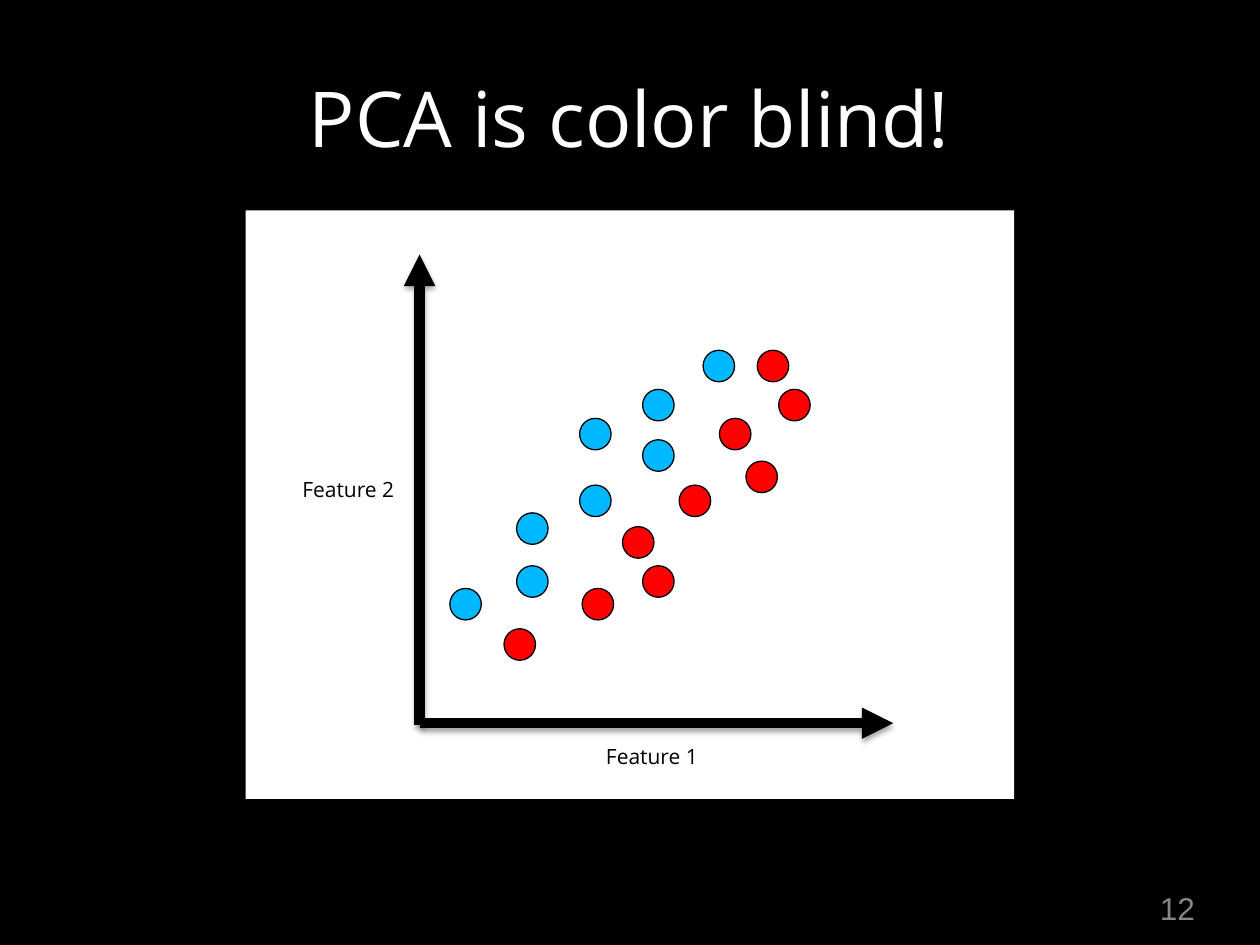
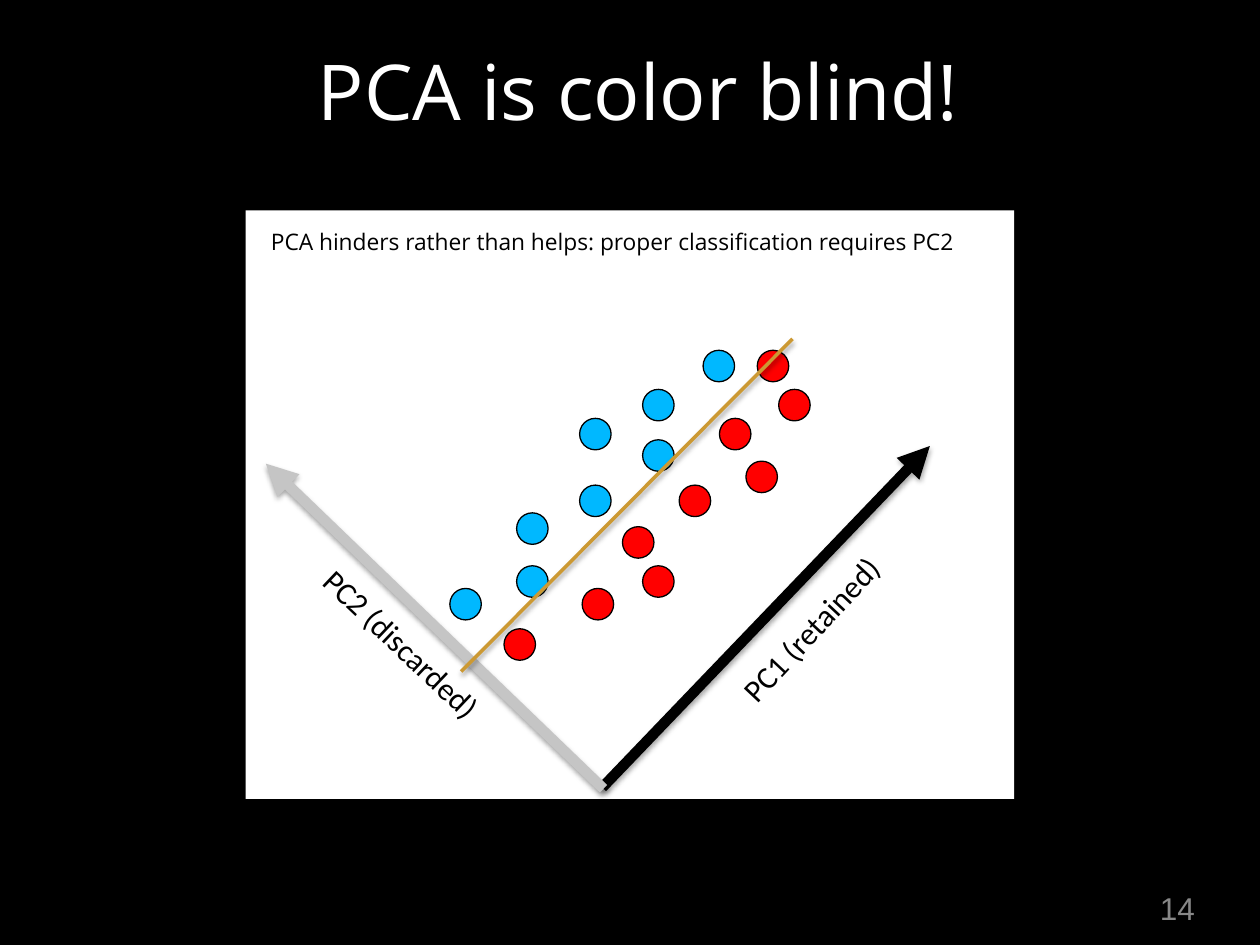
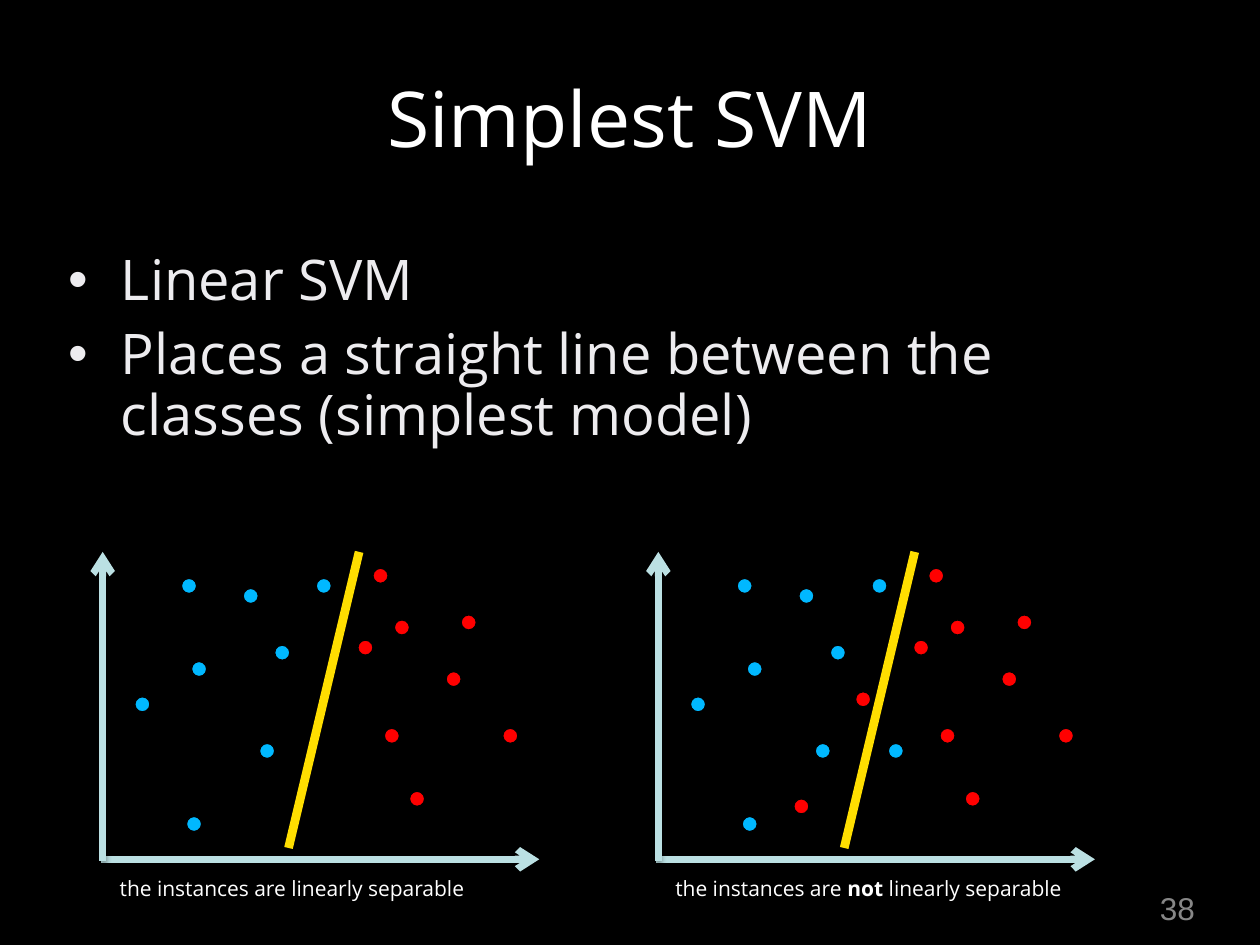
from pptx import Presentation
from pptx.dml.color import RGBColor
from pptx.enum.shapes import MSO_CONNECTOR, MSO_SHAPE
from pptx.enum.text import MSO_ANCHOR, MSO_AUTO_SIZE, PP_ALIGN
from pptx.oxml.ns import qn
from pptx.util import Inches, Pt
from lxml.etree import SubElement

WIDTH, HEIGHT = Inches(10), Inches(7.5)
COLUMNS, ROWS = 100, 75

BLACK = RGBColor(0x00, 0x00, 0x00)
WHITE = RGBColor(0xFF, 0xFF, 0xFF)
PALE = RGBColor(0xED, 0xEC, 0xEF)
GRAY = RGBColor(0x87, 0x87, 0x87)
SILVER = RGBColor(0xC5, 0xC5, 0xC5)
BLUE = RGBColor(0x00, 0xB8, 0xFF)
RED = RGBColor(0xFF, 0x00, 0x00)
GOLD = RGBColor(0xCC, 0x99, 0x33)
YELLOW = RGBColor(0xFF, 0xDE, 0x00)
ICE = RGBColor(0xBB, 0xE0, 0xE3)

FONT = "Open Sans"
TITLE_BOX = (5, 1, 90, 16.5)
NUMBER_BOX = (91.3, 70.1, 4.3, 3.9)
PANEL_BOX = (19.5, 16.7, 61, 46.7)

PCA_DOT = 2.5
PCA_BLUE = [(41, 40.7), (46, 33.2), (51, 30.9), (55.8, 27.8),
            (41, 44.9), (46, 38.5), (35.7, 46.7), (51, 34.9)]
PCA_RED = [(61.8, 30.9), (57.1, 33.2), (46.2, 46.7), (40, 49.9), (60.1, 27.8),
           (51, 44.9), (49.4, 41.8), (59.2, 36.6), (53.9, 38.5)]

SVM_DOT = 1.2
SVM_SHIFT = 44.1
SVM_BLUE = [(15.2, 52.5), (14.4, 45.9), (19.3, 46.7), (25.1, 45.9),
            (10.7, 55.3), (20.6, 59), (14.8, 64.8), (21.8, 51.2)]
SVM_RED = [(31.3, 49.2), (28.4, 50.8), (30.5, 57.8), (32.5, 62.8),
           (29.6, 45.1), (35.4, 53.3), (39.9, 57.8), (36.6, 48.8)]
MIXED_BLUE = [(26.4, 59)]
MIXED_RED = [(23.8, 54.9), (18.9, 63.4)]


def across(columns):
    """Return the length of a number of grid columns."""
    return round(WIDTH * columns / COLUMNS)


def down(rows):
    """Return the length of a number of grid rows."""
    return round(HEIGHT * rows / ROWS)


def place(box):
    """Turn a grid box into left, top, width and height."""
    left, top, width, height = box
    return across(left), down(top), across(width), down(height)


def style_runs(paragraph, size, color, font):
    """Give every run of a paragraph the same font."""
    for run in paragraph.runs:
        run.font.size = Pt(size)
        run.font.name = font
        run.font.color.rgb = color


def add_frame(slide, box, inset):
    """Add a wrapping text box with even insets and return its shape."""
    shape = slide.shapes.add_textbox(*place(box))
    frame = shape.text_frame
    frame.word_wrap = True
    frame.margin_left = frame.margin_right = Inches(inset)
    frame.margin_top = frame.margin_bottom = Inches(inset)
    return shape


def add_label(slide, box, text, size=12, color=BLACK, font=FONT, rotation=0):
    """Add a one-line label in which asterisks enclose bold words."""
    shape = add_frame(slide, box, 0.05)
    shape.rotation = rotation
    frame = shape.text_frame
    frame.word_wrap = False
    frame.auto_size = MSO_AUTO_SIZE.SHAPE_TO_FIT_TEXT
    paragraph = frame.paragraphs[0]
    for index, piece in enumerate(text.split("*")):
        run = paragraph.add_run()
        run.text = piece
        run.font.bold = index % 2 == 1
    style_runs(paragraph, size, color, font)
    return shape


def add_title(slide, box, text):
    """Add the centred slide title."""
    frame = add_frame(slide, box, 0.04).text_frame
    frame.vertical_anchor = MSO_ANCHOR.MIDDLE
    frame.text = text
    frame.paragraphs[0].alignment = PP_ALIGN.CENTER
    style_runs(frame.paragraphs[0], 44, WHITE, FONT)


def add_number(slide, number):
    """Add the slide number in the lower right corner."""
    frame = add_label(slide, NUMBER_BOX, str(number), 18, GRAY, "Arial").text_frame
    frame.vertical_anchor = MSO_ANCHOR.MIDDLE
    frame.paragraphs[0].alignment = PP_ALIGN.CENTER


def add_bullets(slide, box, items):
    """Add a bulleted list with hanging indents."""
    frame = add_frame(slide, box, 0.04).text_frame
    frame.margin_right = Inches(0.2)
    frame.text = "\n".join(items)
    for paragraph in frame.paragraphs:
        paragraph.space_before = Pt(8)
        paragraph.line_spacing = 0.9
        style_runs(paragraph, 32, PALE, FONT)
        properties = paragraph._p.get_or_add_pPr()
        properties.set("marL", str(Inches(0.42)))
        properties.set("indent", str(-Inches(0.42)))
        SubElement(properties, qn("a:buFont"), typeface="Arial")
        SubElement(properties, qn("a:buChar"), char="•")


def add_line(slide, start, end, color, width, head=None):
    """Add a straight line with a soft shadow and an optional arrowhead."""
    connector = slide.shapes.add_connector(
        MSO_CONNECTOR.STRAIGHT, across(start[0]), down(start[1]),
        across(end[0]), down(end[1]))
    connector.line.color.rgb = color
    connector.line.width = Pt(width)
    if head:
        SubElement(connector.line._get_or_add_ln(), qn("a:tailEnd"), type=head)
    effects = SubElement(connector._element.spPr, qn("a:effectLst"))
    shadow = SubElement(effects, qn("a:outerShdw"), blurRad=str(Pt(3)),
                        dist=str(Pt(1.8)), dir="5400000", rotWithShape="0")
    shade = SubElement(shadow, qn("a:srgbClr"), val=str(BLACK))
    SubElement(shade, qn("a:alpha"), val="35000")


def add_filled(shapes, kind, box, color):
    """Add a filled preset shape without shadow or outline."""
    shape = shapes.add_shape(kind, *place(box))
    shape.shadow.inherit = False
    shape.fill.solid()
    shape.fill.fore_color.rgb = color
    shape.line.fill.background()
    return shape


def add_dots(slide, points, size, color, shift=0):
    """Add a group of outlined dots for one class of instances."""
    group = slide.shapes.add_group_shape()
    for left, top in points:
        dot = add_filled(group.shapes, MSO_SHAPE.OVAL,
                         (left + shift, top, size, size), color)
        dot.line.color.rgb = BLACK
        dot.line.width = Pt(0.75)


def add_slide(presentation, title, number, title_box=TITLE_BOX):
    """Add a black slide with its title and number."""
    slide = presentation.slides.add_slide(presentation.slide_layouts[6])
    slide.background.fill.solid()
    slide.background.fill.fore_color.rgb = BLACK
    add_title(slide, title_box, title)
    add_number(slide, number)
    return slide


def add_pca_slide(presentation, number, title_box=TITLE_BOX):
    """Add a slide with the two classes on a white panel."""
    slide = add_slide(presentation, "PCA is color blind!", number, title_box)
    add_filled(slide.shapes, MSO_SHAPE.RECTANGLE, PANEL_BOX, WHITE)
    add_dots(slide, PCA_BLUE, PCA_DOT, BLUE)
    add_dots(slide, PCA_RED, PCA_DOT, RED)
    return slide


def add_svm_plot(slide, shift, blue, red, caption, caption_width):
    """Add a plot with axes, a separating line and a caption."""
    add_dots(slide, blue, SVM_DOT, BLUE, shift)
    add_dots(slide, red, SVM_DOT, RED, shift)
    add_line(slide, (8 + shift, 68.2), (42.8 + shift, 68.2), ICE, 4, "arrow")
    add_line(slide, (8.15 + shift, 68.3), (8.15 + shift, 43.8), ICE, 4, "arrow")
    add_line(slide, (22.9 + shift, 67.3), (28.5 + shift, 43.8), YELLOW, 5)
    add_label(slide, (9 + shift, 69, caption_width, 3.1), caption, color=WHITE)


def add_features_slide(presentation):
    """Add the slide that shows the original features."""
    slide = add_pca_slide(presentation, 12)
    add_line(slide, (33.3, 57.4), (70.9, 57.4), BLACK, 6, "triangle")
    add_line(slide, (33.3, 57.5), (33.3, 20.2), BLACK, 6, "triangle")
    add_label(slide, (47.6, 58.5, 8.7, 3.1), "Feature 1")
    add_label(slide, (23.5, 37.3, 8.7, 3.1), "Feature 2")


def add_components_slide(presentation):
    """Add the slide that shows the principal components."""
    slide = add_pca_slide(presentation, 14, (5.7, -1.1, 90, 16.5))
    add_line(slide, (47.8, 62.5), (73.8, 35.4), BLACK, 6, "triangle")
    add_line(slide, (47.9, 62.6), (21.1, 36.8), SILVER, 6, "triangle")
    add_line(slide, (36.6, 53.3), (62.9, 26.9), GOLD, 2)
    add_label(slide, (56.3, 47.2, 17.4, 4.1), "PC1 (retained)", 18,
              font="Calibri", rotation=313)
    add_label(slide, (23.1, 49.9, 19.2, 4.1), "PC2 (discarded)", 18,
              font="Calibri", rotation=43.6)
    add_label(slide, (21, 17.6, 58, 3.2),
              "PCA hinders rather than helps: proper classification requires PC2", 13)


def add_svm_slide(presentation):
    """Add the slide that compares separable and mixed classes."""
    slide = add_slide(presentation, "Simplest SVM", 38)
    add_bullets(slide, (5, 19.6, 90, 19.2), [
        "Linear SVM",
        "Places a straight line between the classes (simplest model)"])
    add_svm_plot(slide, 0, SVM_BLUE, SVM_RED,
                 "the instances are linearly separable", 29.6)
    add_svm_plot(slide, SVM_SHIFT, SVM_BLUE + MIXED_BLUE, SVM_RED + MIXED_RED,
                 "the instances are *not *linearly separable", 33)


def main():
    """Build the presentation and save it."""
    presentation = Presentation()
    presentation.slide_width, presentation.slide_height = WIDTH, HEIGHT
    add_features_slide(presentation)
    add_components_slide(presentation)
    add_svm_slide(presentation)
    presentation.save("out.pptx")


if __name__ == "__main__":
    main()
